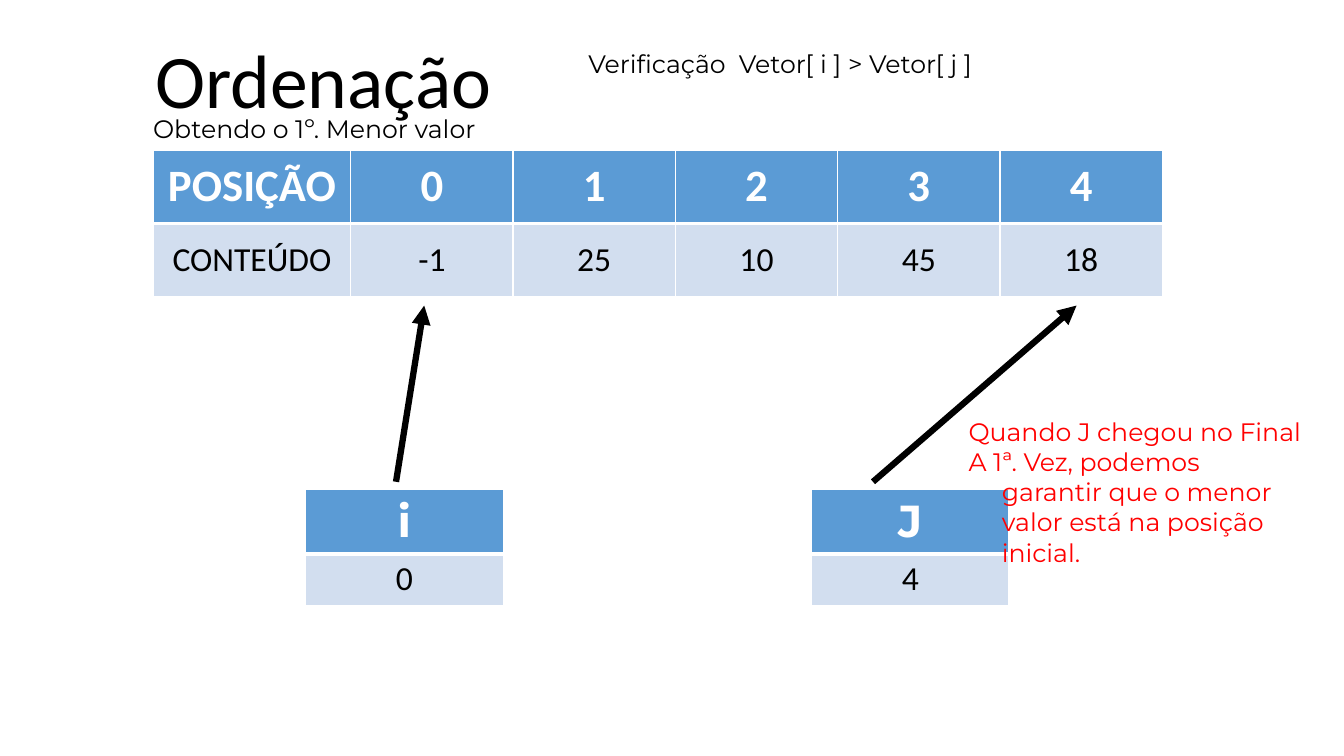
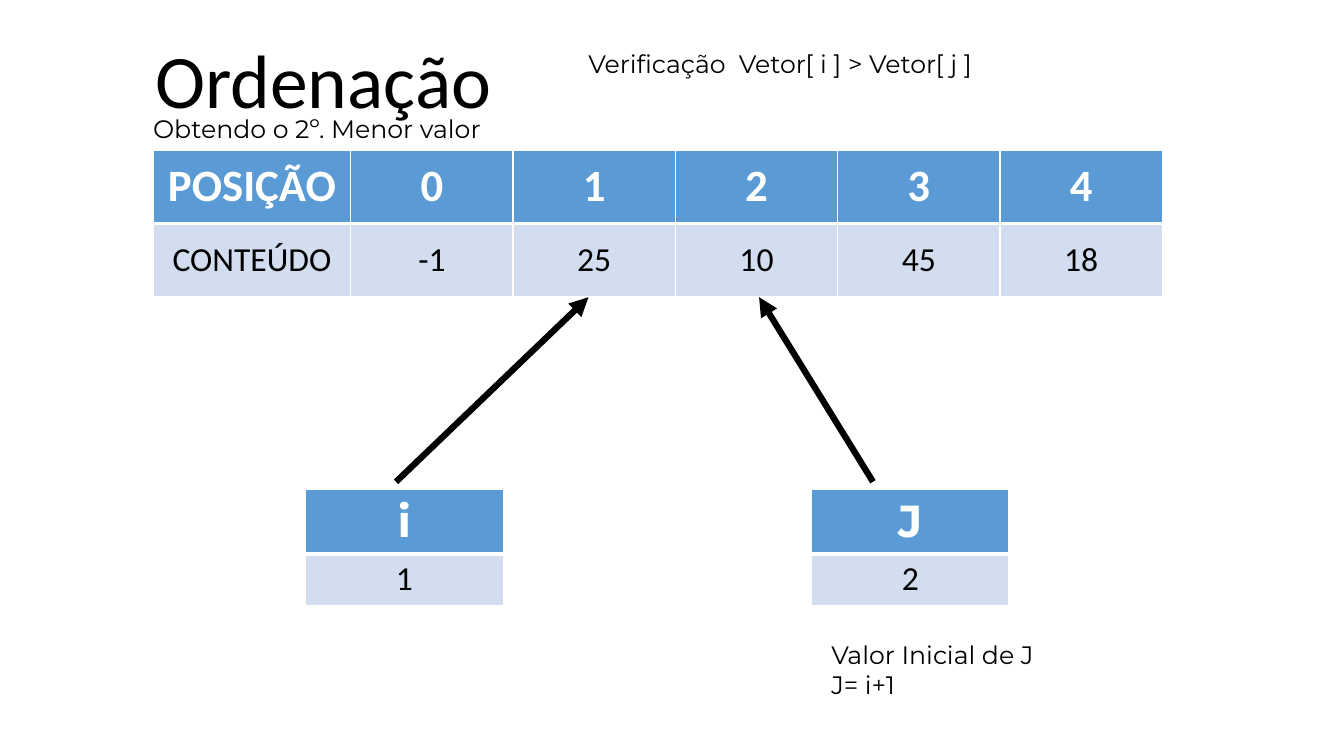
"""Build two slides that follow the indexes i and J through a sorting pass."""

from dataclasses import dataclass

from lxml.etree import SubElement
from pptx import Presentation
from pptx.dml.color import RGBColor
from pptx.enum.shapes import MSO_CONNECTOR
from pptx.enum.text import MSO_ANCHOR, PP_ALIGN
from pptx.oxml import parse_xml
from pptx.oxml.ns import nsdecls, qn
from pptx.slide import Slide
from pptx.text.text import TextFrame
from pptx.util import Cm, Pt

COLORS = {
    "header": "5B9BD5",
    "body": "D2DEEF",
    "white": "FFFFFF",
    "black": "000000",
    "alert": "FF0000",
}
TITLE_FONT = "Calibri"
NOTE_FONT = "Montserrat"
LABEL_WIDTH = 4.98
VALUE_WIDTH = 4.09
INDEX_TOP = 12.33
ARROW_START_Y = 12.14
POSITIONS = ["POSIÇÃO", "0", "1", "2", "3", "4"]
CONTENTS = ["CONTEÚDO", "-1", "25", "10", "45", "18"]


@dataclass(frozen=True)
class Style:
    size: float
    font: str = NOTE_FONT
    color: str = "black"
    bold: bool = False
    align: PP_ALIGN = PP_ALIGN.LEFT


@dataclass(frozen=True)
class Line:
    text: str
    indent: float = 0


@dataclass(frozen=True)
class Box:
    left: float
    top: float
    width: float
    height: float


@dataclass(frozen=True)
class Note:
    box: Box
    lines: list[Line]
    color: str = "black"


@dataclass(frozen=True)
class Grid:
    left: float
    top: float
    widths: list[float]
    heights: list[float]
    rows: list[list[str]]
    header_font: str
    anchor: MSO_ANCHOR


@dataclass(frozen=True)
class Index:
    name: str
    value: str
    left: float
    arrow_start_x: float
    arrow_end_x: float


@dataclass(frozen=True)
class Step:
    subtitle: str
    indexes: list[Index]
    arrow_end_y: float
    note: Note


def write(frame: TextFrame, lines: list[Line], style: Style) -> None:
    for number, line in enumerate(lines):
        paragraph = frame.add_paragraph() if number else frame.paragraphs[0]
        paragraph.alignment = style.align
        if line.indent:
            paragraph._p.get_or_add_pPr().set("marL", str(Cm(line.indent)))
        run = paragraph.add_run()
        run.text = line.text
        run.font.size = Pt(style.size)
        run.font.name = style.font
        run.font.bold = style.bold
        run.font.color.rgb = RGBColor.from_string(COLORS[style.color])


def add_title(slide: Slide, text: str) -> None:
    title = slide.shapes.title
    title.left, title.top, title.width, title.height = Cm(3.61), Cm(0.69), Cm(9.07), Cm(2.57)
    title.text_frame.vertical_anchor = MSO_ANCHOR.TOP
    write(title.text_frame, [Line(text)], Style(54, TITLE_FONT, align=PP_ALIGN.CENTER))


def add_note(slide: Slide, note: Note) -> None:
    box = note.box
    shape = slide.shapes.add_textbox(Cm(box.left), Cm(box.top), Cm(box.width), Cm(box.height))
    shape.text_frame.word_wrap = True
    write(shape.text_frame, note.lines, Style(18, color=note.color))


def set_borders(cell_properties, top: float, bottom: float) -> None:
    widths = {"lnL": 1, "lnR": 1, "lnT": top, "lnB": bottom}
    for order, (side, width) in enumerate(widths.items()):
        border = parse_xml(
            f'<a:{side} {nsdecls("a")} w="{Pt(width)}"><a:solidFill>'
            f'<a:srgbClr val="{COLORS["white"]}"/></a:solidFill></a:{side}>'
        )
        cell_properties.insert(order, border)


def add_grid(slide: Slide, grid: Grid) -> None:
    frame = slide.shapes.add_table(
        len(grid.rows), len(grid.widths), Cm(grid.left), Cm(grid.top),
        Cm(sum(grid.widths)), Cm(sum(grid.heights)),
    )
    table = frame.table
    table.horz_banding = False
    for column, width in zip(table.columns, grid.widths):
        column.width = Cm(width)
    header = Style(32, grid.header_font, "white", True, PP_ALIGN.CENTER)
    body = Style(24, TITLE_FONT, align=PP_ALIGN.CENTER)
    for r, (texts, height) in enumerate(zip(grid.rows, grid.heights)):
        is_header = r == 0
        table.rows[r].height = Cm(height)
        for c, text in enumerate(texts):
            cell = table.cell(r, c)
            cell.vertical_anchor = grid.anchor
            cell.fill.solid()
            fill = COLORS["header" if is_header else "body"]
            cell.fill.fore_color.rgb = RGBColor.from_string(fill)
            top, bottom = (1, 3) if is_header else (3, 1)
            set_borders(cell._tc.get_or_add_tcPr(), top, bottom)
            write(cell.text_frame, [Line(text)], header if is_header else body)


def add_arrow(slide: Slide, start: tuple[float, float], end: tuple[float, float]) -> None:
    arrow = slide.shapes.add_connector(
        MSO_CONNECTOR.STRAIGHT, Cm(start[0]), Cm(start[1]), Cm(end[0]), Cm(end[1])
    )
    arrow.line.color.rgb = RGBColor.from_string(COLORS["black"])
    arrow.line.width = Pt(4.5)
    SubElement(arrow.line._get_or_add_ln(), qn("a:tailEnd"), type="triangle")
    SubElement(arrow._element.spPr, qn("a:effectLst"))


def add_index(slide: Slide, index: Index, arrow_end_y: float) -> None:
    add_grid(slide, Grid(
        index.left, INDEX_TOP, [LABEL_WIDTH], [1.6, 1.27],
        [[index.name], [index.value]], NOTE_FONT, MSO_ANCHOR.TOP,
    ))
    add_arrow(slide, (index.arrow_start_x, ARROW_START_Y), (index.arrow_end_x, arrow_end_y))


def index_pair(i: str, i_target: float, j: str, j_target: float) -> list[Index]:
    return [Index("i", i, 7.7, 9.98, i_target), Index("J", j, 20.45, 22, j_target)]


VECTOR = Grid(
    3.86, 3.78, [LABEL_WIDTH] + [VALUE_WIDTH] * 5, [1.85, 1.85],
    [POSITIONS, CONTENTS], TITLE_FONT, MSO_ANCHOR.MIDDLE,
)
CHECK = Note(Box(14.58, 1.09, 11.84, 1.02), [Line("Verificação  Vetor[ i ] > Vetor[ j ]")])
STEPS = [
    Step(
        "Obtendo o 1º. Menor valor",
        index_pair("0", 10.69, "4", 27.13),
        7.7,
        Note(Box(24.16, 10.36, 9.6, 4.11), [
            Line("Quando J chegou no Final"),
            Line("A 1ª. Vez, podemos"),
            Line("garantir que o menor", 0.84),
            Line("valor está na posição", 0.84),
            Line("inicial.", 0.84),
        ], "alert"),
    ),
    Step(
        "Obtendo o 2º. Menor valor",
        index_pair("1", 14.83, "2", 19.13),
        7.49,
        Note(Box(20.7, 15.98, 6.43, 1.8), [Line("Valor Inicial de J"), Line("J= i+1")]),
    ),
]


def main() -> None:
    presentation = Presentation()
    presentation.slide_width, presentation.slide_height = Cm(33.87), Cm(19.05)
    for step in STEPS:
        slide = presentation.slides.add_slide(presentation.slide_layouts[5])
        add_title(slide, "Ordenação")
        add_grid(slide, VECTOR)
        for index in step.indexes:
            add_index(slide, index, step.arrow_end_y)
        subtitle = Note(Box(3.61, 2.74, 9.58, 1.02), [Line(step.subtitle)])
        for note in (CHECK, subtitle, step.note):
            add_note(slide, note)
    presentation.save("out.pptx")


if __name__ == "__main__":
    main()
